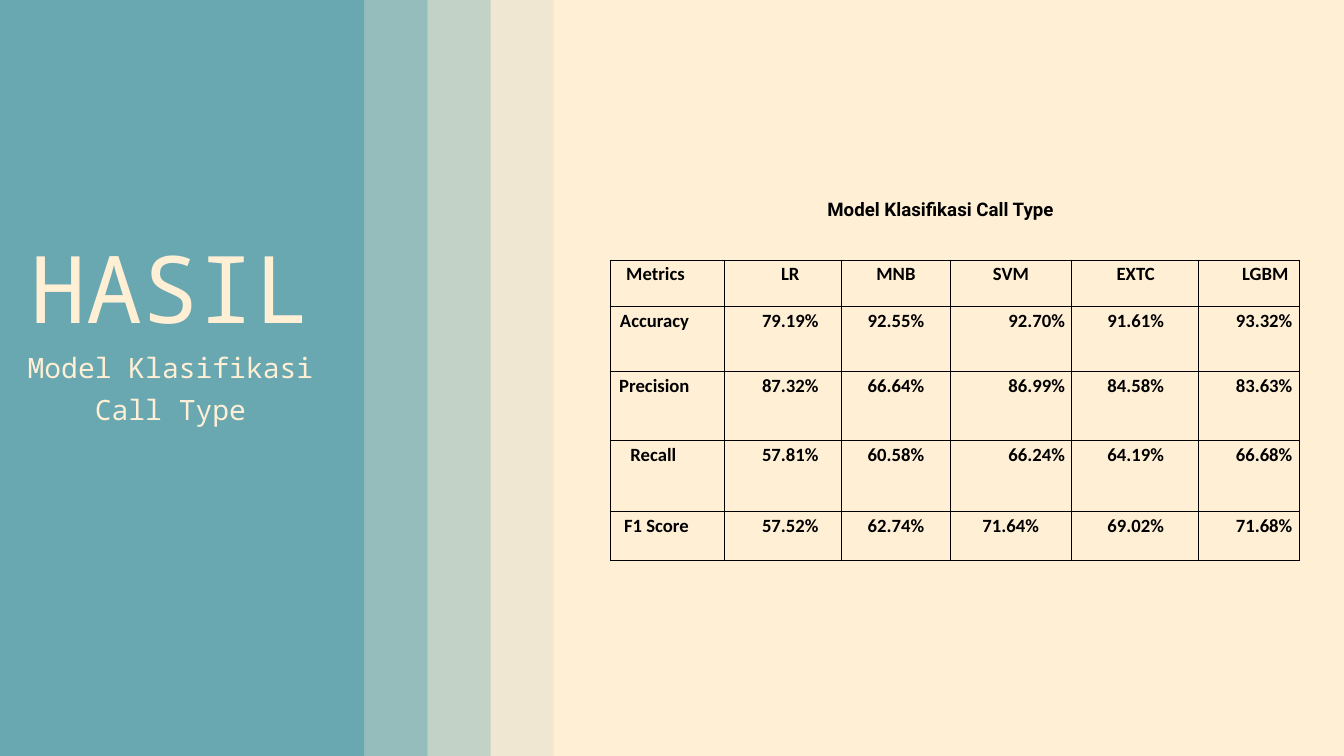
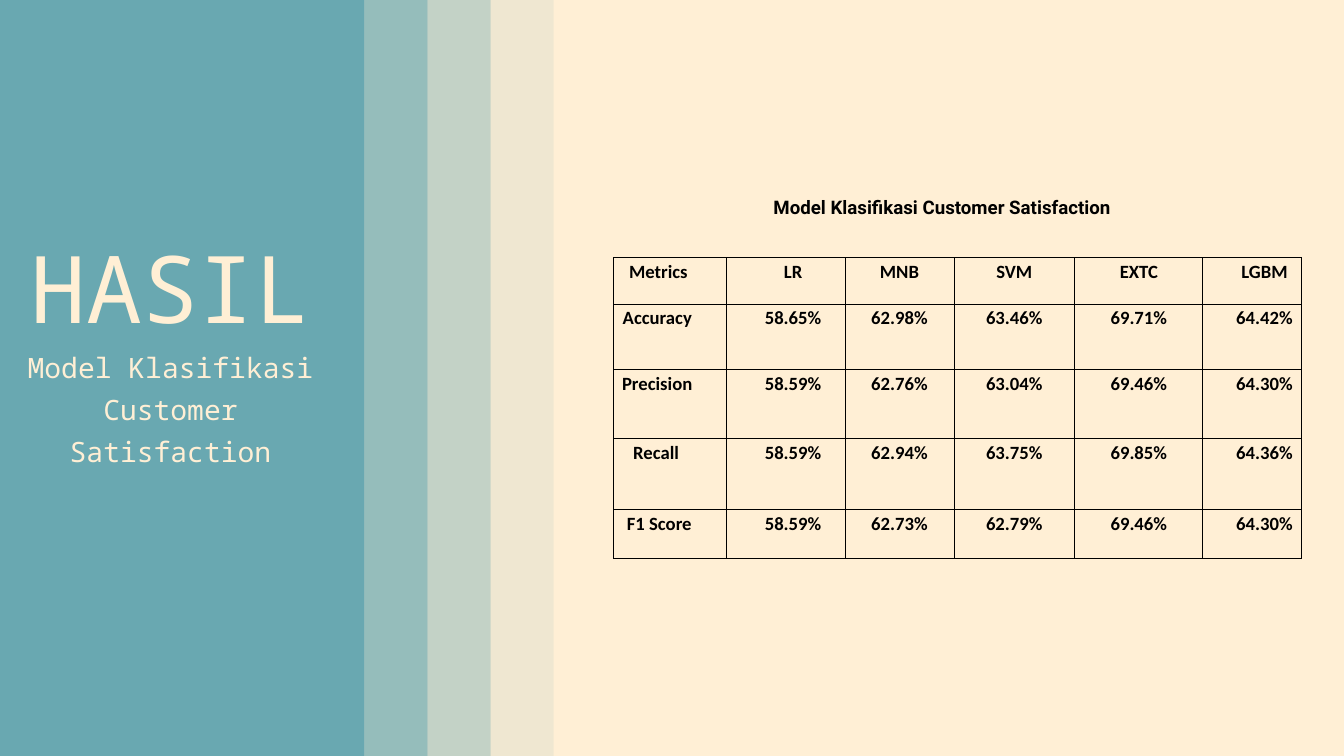
"""Build two result slides that compare classification models in tables."""
from dataclasses import dataclass
from typing import Any, NamedTuple

from lxml.etree import SubElement
from pptx import Presentation
from pptx.dml.color import RGBColor
from pptx.enum.shapes import MSO_SHAPE
from pptx.enum.text import MSO_ANCHOR, MSO_AUTO_SIZE, PP_ALIGN
from pptx.oxml.ns import qn
from pptx.util import Pt

EMU_PER_PX = 9525
SLIDE_WIDTH, SLIDE_HEIGHT = 1920, 1080
TITLE_ONLY = 5

CREAM = RGBColor(0xFF, 0xEF, 0xD5)
TEAL = RGBColor(0x69, 0xA8, 0xB1)
BLACK = RGBColor(0, 0, 0)

PANEL_WIDTH, BAND_WIDTH = 521, 90
BAND_OPACITIES = (70, 40, 10)
BORDER_WIDTH = Pt(0.45)

HEADING = {"name": "Noto Sans Mono", "size": Pt(100), "bold": False}
SUBHEADING = HEADING | {"size": Pt(30)}
CAPTION = {"name": "Roboto", "size": Pt(20), "bold": True}
CELL = CAPTION | {"name": "Calibri"}
FRAME = {
    "word_wrap": True, "auto_size": MSO_AUTO_SIZE.SHAPE_TO_FIT_TEXT,
    "vertical_anchor": MSO_ANCHOR.TOP, "margin_left": 0, "margin_right": 0,
    "margin_top": EMU_PER_PX, "margin_bottom": 0,
}

HEADERS = ("Metrics", "LR", "MNB", "SVM", "EXTC", "LGBM")
METRICS = ("Accuracy", "Precision", "Recall", "F1 Score")
ROW_HEIGHTS = (66, 93, 99, 101, 71)


class Box(NamedTuple):
    left: int
    top: int
    width: int
    height: int


class Placement(NamedTuple):
    align: PP_ALIGN
    indent: int = 0


def left(indent: int) -> Placement:
    return Placement(PP_ALIGN.LEFT, indent)


def center(indent: int = 0) -> Placement:
    return Placement(PP_ALIGN.CENTER, indent)


RIGHT = Placement(PP_ALIGN.RIGHT)
TITLE_BOX = Box(34, 288, 418, 322)
METRIC_PLACEMENTS = [left(indent) for indent in (13, 4, 3, 19, 10)]


@dataclass(frozen=True)
class Result:
    subject: str
    caption_box: Box
    table_left: int
    table_top: int
    column_widths: tuple[int, ...]
    scores: tuple[tuple[float, ...], ...]
    svm_placements: list[Placement]
    lgbm_placements: list[Placement]


RESULTS = (
    Result(
        "Call Type", Box(1181, 282, 335, 65), 872, 371,
        (163, 167, 156, 173, 181, 144),
        ((79.19, 92.55, 92.70, 91.61, 93.32),
         (87.32, 66.64, 86.99, 84.58, 83.63),
         (57.81, 60.58, 66.24, 64.19, 66.68),
         (57.52, 62.74, 71.64, 69.02, 71.68)),
        [left(51), RIGHT, RIGHT, RIGHT, left(36)],
        [left(53)] + [RIGHT] * 4,
    ),
    Result(
        "Customer Satisfaction", Box(1104, 279, 497, 65), 876, 368,
        (162, 169, 156, 172, 182, 142),
        ((58.65, 62.98, 63.46, 69.71, 64.42),
         (58.59, 62.76, 63.04, 69.46, 64.30),
         (58.59, 62.94, 63.75, 69.85, 64.36),
         (58.59, 62.73, 62.79, 69.46, 64.30)),
        [center()] * 5,
        [center(37)] * 5,
    ),
)


def px(length: int) -> int:
    return length * EMU_PER_PX


def scaled(box: Box) -> list[int]:
    return [px(length) for length in box]


def apply(target: Any, values: dict[str, Any]) -> None:
    for name, value in values.items():
        setattr(target, name, value)


def write(para: Any, text: str, style: dict[str, Any], color: RGBColor,
          placement: Placement) -> None:
    para.alignment = placement.align
    properties = para._p.get_or_add_pPr()
    properties.set("marL", str(px(placement.indent)))
    properties.set("indent", "0")
    span = para.add_run()
    span.text = text
    apply(span.font, style)
    span.font.color.rgb = color


def draw_bands(slide: Any) -> None:
    group = slide.shapes.add_group_shape()
    slide.shapes.title.element.addprevious(group.element)
    bands = [(Box(PANEL_WIDTH + index * BAND_WIDTH, 0, BAND_WIDTH, SLIDE_HEIGHT), opacity)
             for index, opacity in enumerate(BAND_OPACITIES)]
    bands.append((Box(0, 0, PANEL_WIDTH, SLIDE_HEIGHT), 100))
    for box, opacity in bands:
        band = group.shapes.add_shape(MSO_SHAPE.RECTANGLE, *scaled(box))
        band.shadow.inherit = False
        band.line.fill.background()
        band.fill.solid()
        band.fill.fore_color.rgb = TEAL
        if opacity < 100:
            color = next(band.element.spPr.iter(qn("a:srgbClr")))
            SubElement(color, qn("a:alpha"), val=str(opacity * 1000))


def draw_title(slide: Any, subtitle: str) -> None:
    title = slide.shapes.title
    apply(title, dict(zip(Box._fields, scaled(TITLE_BOX))))
    apply(title.text_frame, FRAME)
    para = title.text_frame.paragraphs[0]
    para.line_spacing = 1.25
    write(para, "HASIL", HEADING, CREAM, center(1))
    para.add_line_break()
    write(para, subtitle, SUBHEADING, CREAM, center(1))


def draw_caption(slide: Any, text: str, box: Box) -> None:
    frame = slide.shapes.add_textbox(*scaled(box)).text_frame
    apply(frame, FRAME)
    write(frame.paragraphs[0], text, CAPTION, BLACK, left(1))


def add_borders(cell: Any) -> None:
    properties = cell._tc.get_or_add_tcPr()
    for index, side in enumerate(("lnL", "lnR", "lnT", "lnB")):
        line = properties.makeelement(qn(f"a:{side}"), {"w": str(BORDER_WIDTH)})
        fill = SubElement(line, qn("a:solidFill"))
        SubElement(fill, qn("a:srgbClr"), val=str(BLACK))
        properties.insert(index, line)


def draw_table(slide: Any, result: Result) -> None:
    rows = [HEADERS] + [
        (metric, *(f"{score:.2f}%" for score in scores))
        for metric, scores in zip(METRICS, result.scores)
    ]
    box = Box(result.table_left, result.table_top,
              sum(result.column_widths), sum(ROW_HEIGHTS))
    table = slide.shapes.add_table(len(rows), len(HEADERS), *scaled(box)).table
    apply(table, {"first_row": False, "horz_banding": False})
    for column, width in zip(table.columns, result.column_widths):
        column.width = px(width)
    for row, height in zip(table.rows, ROW_HEIGHTS):
        row.height = px(height)
    count = len(rows)
    placements = (METRIC_PLACEMENTS, [center(21)] * count, [center()] * count,
                  result.svm_placements, [center(2)] * count, result.lgbm_placements)
    for row_index, texts in enumerate(rows):
        for column_index, text in enumerate(texts):
            cell = table.cell(row_index, column_index)
            cell.fill.background()
            add_borders(cell)
            write(cell.text_frame.paragraphs[0], text, CELL, BLACK,
                  placements[column_index][row_index])


def draw_result(deck: Any, result: Result) -> None:
    slide = deck.slides.add_slide(deck.slide_layouts[TITLE_ONLY])
    heading = f"Model Klasifikasi {result.subject}"
    draw_bands(slide)
    draw_title(slide, heading)
    draw_caption(slide, heading, result.caption_box)
    draw_table(slide, result)


def main() -> None:
    deck = Presentation()
    apply(deck, {"slide_width": px(SLIDE_WIDTH), "slide_height": px(SLIDE_HEIGHT)})
    background = deck.slide_master.background.fill
    background.solid()
    background.fore_color.rgb = CREAM
    for result in RESULTS:
        draw_result(deck, result)
    deck.save("out.pptx")


if __name__ == "__main__":
    main()
